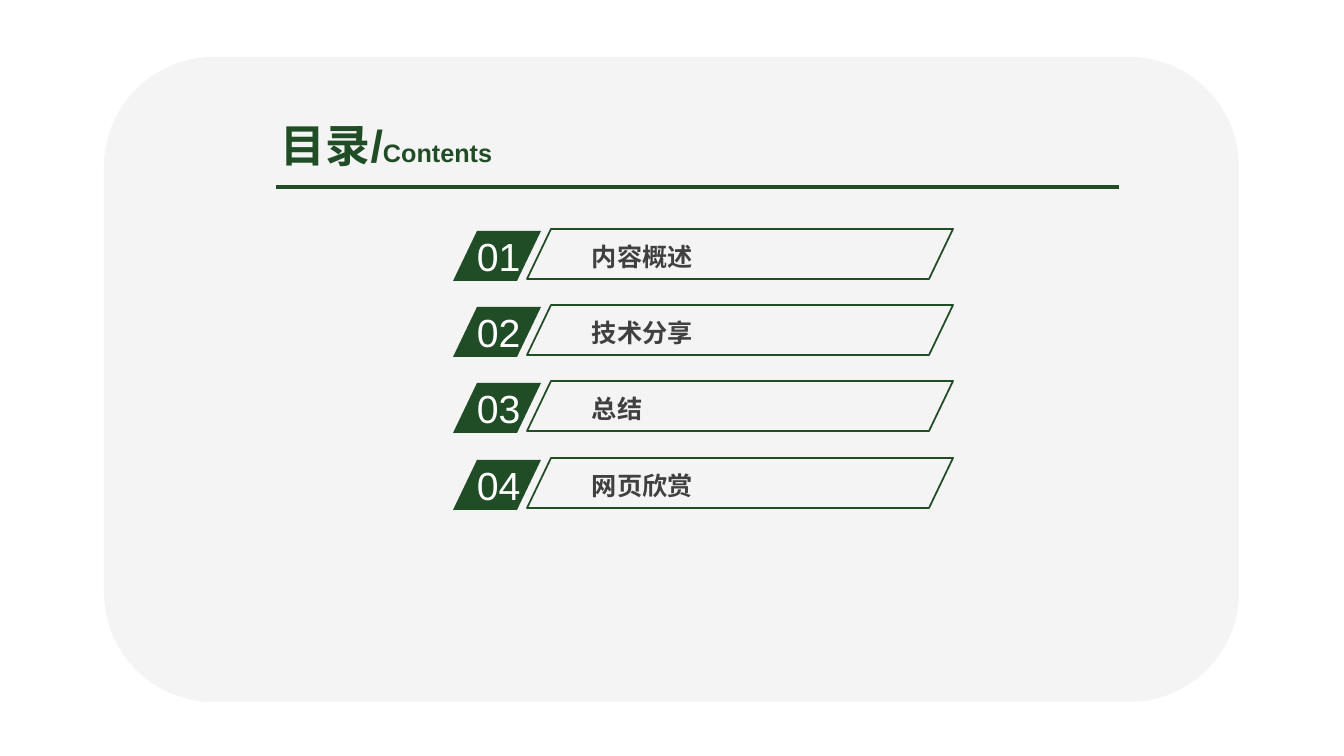
from lxml.etree import SubElement
from pptx import Presentation
from pptx.dml.color import RGBColor
from pptx.enum.shapes import MSO_CONNECTOR, MSO_SHAPE
from pptx.enum.text import MSO_ANCHOR, MSO_AUTO_SIZE, PP_ALIGN
from pptx.oxml.ns import qn
from pptx.util import Pt

PX = 914400 / 100.8
COLORS = {"green": "204C26", "panel": "F4F4F4", "text": "404040", "white": "FFFFFF"}
TOPICS = ["内容概述", "技术分享", "总结", "网页欣赏"]


def emu(*sizes):
    return [round(size * PX) for size in sizes]


def tint(name):
    return RGBColor.from_string(COLORS[name])


def write(para, text, size=18, color="text", bold=False):
    run = para.add_run()
    run.text = text
    font = run.font
    font.name = "Arial"
    font.size = Pt(size)
    font.bold = bold
    font.color.rgb = tint(color)
    SubElement(font._element, qn("a:ea")).set("typeface", "Arial")


def add_form(slide, kind, box, adjust, fill=None, line=None):
    form = slide.shapes.add_shape(kind, *emu(*box))
    form.shadow.inherit = False
    form.adjustments[0] = adjust
    if fill:
        form.fill.solid()
        form.fill.fore_color.rgb = tint(fill)
    else:
        form.fill.background()
    if line:
        form.line.color.rgb = tint(line)
        form.line.width = Pt(1.25)
    else:
        form.line.fill.background()


def add_label(slide, text, box, inset=(10, 5), **style):
    frame = slide.shapes.add_textbox(*emu(*box)).text_frame
    frame.word_wrap = True
    frame.margin_left = frame.margin_right = emu(inset[0])[0]
    frame.margin_top = frame.margin_bottom = emu(inset[1])[0]
    write(frame.paragraphs[0], text, **style)


def add_title(slide):
    title = slide.shapes.title
    title.left, title.top, title.width, title.height = emu(262, 118, 249, 54)
    slide.shapes._spTree.append(title._element)
    frame = title.text_frame
    frame.auto_size = MSO_AUTO_SIZE.NONE
    frame.word_wrap = False
    frame.vertical_anchor = MSO_ANCHOR.MIDDLE
    para = frame.paragraphs[0]
    para.alignment = PP_ALIGN.CENTER
    write(para, "目录/", size=32, color="green", bold=True)
    write(para, "Contents", size=18, color="green", bold=True)


def add_rule(slide):
    rule = slide.shapes.add_connector(MSO_CONNECTOR.STRAIGHT, *emu(276, 187, 1119, 187))
    rule.line.color.rgb = tint("green")
    rule.line.width = Pt(2.25)
    SubElement(rule._element.spPr, qn("a:effectLst"))


def add_topic(slide, index, topic):
    top = 229 + index * 229 // 3
    slant = MSO_SHAPE.PARALLELOGRAM
    add_form(slide, slant, (453, top + 2, 88, 50), 0.48, fill="green")
    add_label(slide, f"{index + 1:02}", (467, top - 2, 85, 57), size=28, color="white")
    add_label(slide, topic, (585, top + 8, 311, 38), inset=(7, 4), bold=True)
    add_form(slide, slant, (527, top, 426, 50), 0.48, line="green")


def main():
    deck = Presentation()
    deck.slide_width, deck.slide_height = emu(1344, 756)
    slide = deck.slides.add_slide(deck.slide_layouts[5])
    add_form(slide, MSO_SHAPE.ROUNDED_RECTANGLE, (104, 57, 1135, 645), 0.17, fill="panel")
    add_title(slide)
    add_rule(slide)
    for index, topic in enumerate(TOPICS):
        add_topic(slide, index, topic)
    deck.save("out.pptx")


if __name__ == "__main__":
    main()
